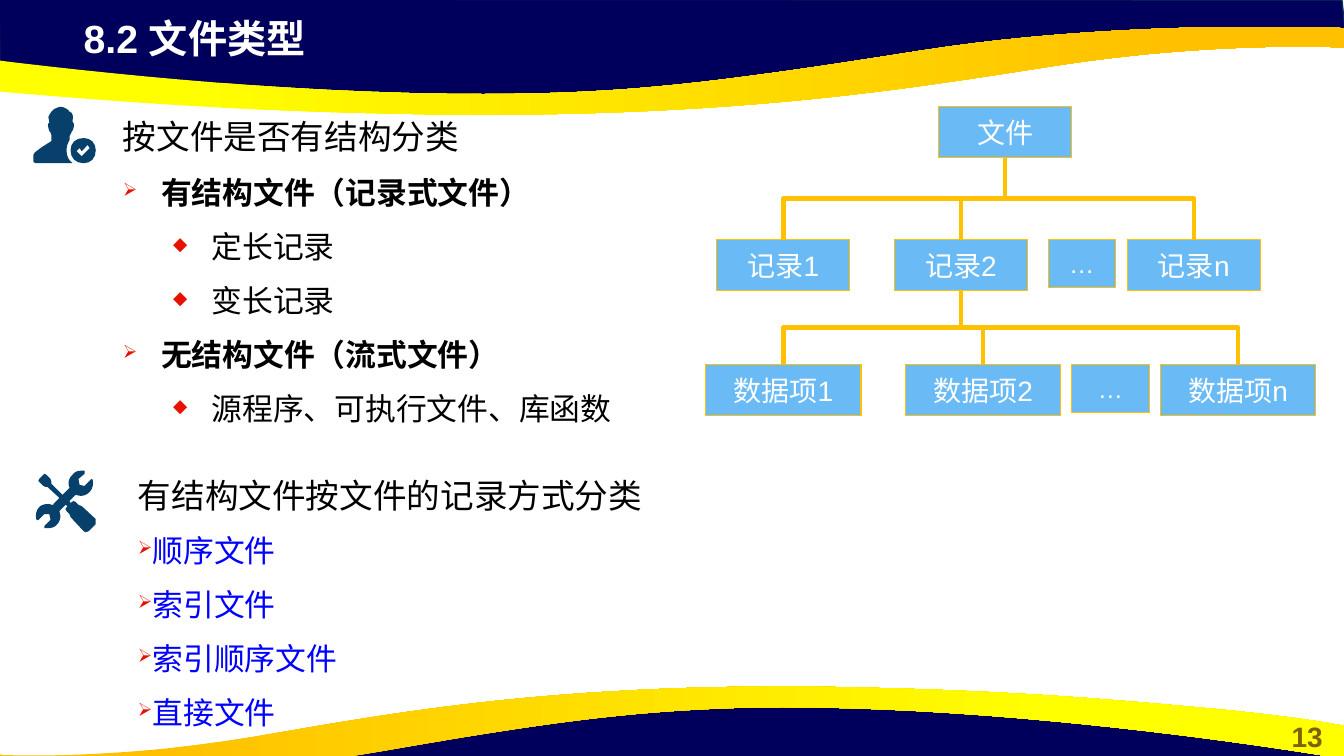
"""Build the slide on file types, with two outlines and a record tree."""
from lxml import etree
from pptx import Presentation
from pptx.dml.color import RGBColor
from pptx.enum.shapes import MSO_CONNECTOR as Connector, MSO_SHAPE as Shape
from pptx.enum.text import MSO_ANCHOR as Anchor, PP_ALIGN as Align
from pptx.oxml.ns import qn
from pptx.util import Inches, Pt

COLOURS = {
    name: RGBColor.from_string(value)
    for name, value in {
        "navy": "00005C", "navy edge": "05304F", "gold": "FFC000", "yellow": "FFFF00",
        "icon": "07416B", "box": "6ABBF5", "white": "FFFFFF", "black": "000000",
        "blue": "0000FF", "number": "806000",
    }.items()
}
BULLET_COLOUR = "E71101"

TOP_NAVY = "M-0.01,-0.01 L0,0.7 L2.93,1.02 L5.59,1 L7.95,0.88 L10.16,0.5 L12.38,0.33 L13.35,0.38 L13.31,0"
TOP_BAND = """M4.83,1.14 C4.43,1.14,4.01,1.13,3.56,1.12 C2.06,1.08,1.1,1,0.36,0.94
C-0.88,0.84,-1.3,0.75,-1.33,0.75 L-1.33,0.42 C-1.33,0.42,2.18,0.98,5.17,0.93
C6.26,0.91,7.08,0.83,9.15,0.5 C11.21,0.18,13.33,0.28,13.33,0.28 L13.33,0.47 L13.3,0.47
C13.05,0.46,11.95,0.43,10.55,0.64 C9.18,0.85,7.62,1.13,4.83,1.14"""
BOTTOM_NAVY = "M13.33,7.94 L13.32,7.24 L10.4,6.91 L7.73,6.93 L5.38,7.06 L3.17,7.43 L0.95,7.6 L-0.03,7.56 L0.01,7.93"
BOTTOM_BAND = """M7.72,6.81 C8.09,6.81,8.47,6.82,8.88,6.83 C10.25,6.87,11.12,6.95,11.79,7.01
C12.92,7.11,13.3,7.2,13.33,7.2 L13.33,7.53 C13.33,7.53,10.14,6.97,7.42,7.02
C6.42,7.05,5.67,7.12,3.8,7.45 C1.92,7.78,-0.01,7.68,-0.01,7.68 L-0.01,7.48 L0.02,7.49
C0.25,7.5,1.25,7.52,2.52,7.31 C3.76,7.1,5.19,6.82,7.72,6.81"""
BADGE = """M0.87,1.44 L0.81,1.5 L0.79,1.47 L0.76,1.5 L0.81,1.55 L0.89,1.47
M0.83,1.37 C0.9,1.37,0.95,1.42,0.95,1.49 C0.95,1.57,0.9,1.62,0.83,1.62
C0.75,1.62,0.7,1.57,0.7,1.49 C0.7,1.42,0.75,1.37,0.83,1.37"""
PERSON = """M0.6,1.06 C0.62,1.06,0.64,1.07,0.66,1.08 C0.68,1.09,0.69,1.11,0.69,1.11
C0.69,1.11,0.74,1.11,0.72,1.21 C0.73,1.22,0.74,1.23,0.73,1.27 C0.72,1.3,0.71,1.31,0.71,1.31
C0.71,1.32,0.7,1.33,0.69,1.35 L0.69,1.39 C0.67,1.42,0.66,1.46,0.66,1.49
C0.66,1.55,0.68,1.59,0.72,1.62 L0.36,1.62 C0.35,1.62,0.33,1.61,0.33,1.6 L0.33,1.55
C0.33,1.53,0.34,1.52,0.35,1.51 C0.42,1.45,0.5,1.41,0.51,1.4 L0.51,1.35
C0.51,1.33,0.5,1.32,0.5,1.31 C0.49,1.31,0.49,1.3,0.48,1.27 C0.47,1.23,0.48,1.22,0.49,1.22
L0.48,1.16 C0.49,1.14,0.5,1.12,0.51,1.11 C0.52,1.1,0.53,1.09,0.54,1.08
C0.55,1.08,0.58,1.06,0.6,1.06"""
TOOL_HEADS = """M0.95,5.15 L0.81,5.02 L0.78,5.01 L0.75,4.98 L0.73,4.97 L0.7,4.99 L0.69,4.97
L0.75,4.91 L0.8,4.92 C0.84,4.92,0.87,4.9,0.89,4.88 C0.92,4.85,0.93,4.8,0.92,4.76 L0.91,4.75
L0.9,4.76 L0.84,4.82 L0.83,4.82 L0.79,4.81 L0.78,4.76 L0.78,4.75 L0.84,4.7 L0.84,4.67 L0.8,4.67
C0.77,4.67,0.74,4.68,0.72,4.71 C0.68,4.74,0.67,4.8,0.69,4.84 L0.62,4.91 L0.51,4.8 L0.51,4.78
L0.5,4.75 L0.46,4.71 L0.44,4.7 L0.43,4.71 L0.39,4.75 L0.38,4.77 L0.39,4.78 L0.43,4.82"""
TOOL_HANDLES = """L0.45,4.83 L0.47,4.83 L0.59,4.94 L0.53,5 L0.53,5.01 L0.48,5
C0.44,5,0.41,5.01,0.39,5.03 C0.36,5.06,0.35,5.11,0.36,5.15 L0.37,5.16 L0.38,5.16 L0.44,5.1
L0.45,5.1 L0.49,5.1 L0.5,5.15 L0.5,5.16 L0.44,5.22 L0.44,5.24 L0.48,5.24
C0.51,5.24,0.54,5.23,0.56,5.21 C0.59,5.18,0.6,5.15,0.6,5.12 L0.59,5.07 L0.6,5.06 L0.65,5.01
L0.67,5.02 L0.65,5.05 L0.66,5.07 L0.69,5.1 L0.7,5.13 L0.83,5.27 L0.85,5.28 L0.88,5.27 L0.95,5.2"""

presentation = Presentation()
presentation.slide_width = Inches(13.33)
presentation.slide_height = Inches(7.5)
slide = presentation.slides.add_slide(presentation.slide_layouts[5])
shapes = slide.shapes


def add_outline(*parts):
    """Draw closed contours; cubic curves become short segments."""
    contours = []
    for command in [command for part in parts for command in part.split()]:
        numbers = [float(number) for number in command[1:].split(",")]
        points = list(zip(numbers[::2], numbers[1::2]))
        if command[0] == "M":
            contours.append(points)
        elif command[0] == "L":
            contours[-1] += points
        else:
            corners = [contours[-1][-1], *points]
            steps = 24 if abs(corners[3][0] - corners[0][0]) > 0.2 else 4
            for step in range(1, steps + 1):
                t = step / steps
                weights = ((1 - t) ** 3, 3 * t * (1 - t) ** 2, 3 * t * t * (1 - t), t ** 3)
                contours[-1].append(tuple(
                    sum(weight * corner[axis] for weight, corner in zip(weights, corners))
                    for axis in (0, 1)))
    contours = [[(Inches(x), Inches(y)) for x, y in contour] for contour in contours]
    builder = shapes.build_freeform(*contours[0][0])
    for index, contour in enumerate(contours):
        if index:
            builder.move_to(*contour[0])
        builder.add_line_segments(contour[1:], close=True)
    shape = builder.convert_to_shape()
    shape.shadow.inherit = False
    shape.line.fill.background()
    return shape


def add_run(paragraph, text, size, colour, bold=False):
    """Append one formatted run."""
    run = paragraph.add_run()
    run.text = text
    run.font.name = "Arial"
    run.font.size = Pt(size)
    run.font.bold = bold
    run.font.color.rgb = COLOURS[colour]


for navy_outline, band_outline, stops in (
    (TOP_NAVY, TOP_BAND, ((0.22, "yellow"), (0.89, "gold"))),
    (BOTTOM_NAVY, BOTTOM_BAND, ((0.11, "gold"), (0.78, "yellow"))),
):
    navy = add_outline(navy_outline)
    navy.fill.solid()
    navy.fill.fore_color.rgb = COLOURS["navy"]
    navy.line.color.rgb = COLOURS["navy edge"]
    navy.line.width = Pt(1)
    band = add_outline(band_outline)
    band.fill.gradient()
    band.fill.gradient_angle = 0
    for stop, (position, colour) in zip(band.fill.gradient_stops, stops):
        stop.position = position
        stop.color.rgb = COLOURS[colour]

for icon_parts in ((BADGE, PERSON), (TOOL_HEADS, TOOL_HANDLES)):
    icon = add_outline(*icon_parts)
    icon.fill.solid()
    icon.fill.fore_color.rgb = COLOURS["icon"]

title = shapes.title
title.left, title.top, title.width, title.height = map(Inches, (0.73, 0.09, 7.68, 0.57))
title.text_frame.vertical_anchor = Anchor.TOP
title.text_frame.paragraphs[0].alignment = Align.LEFT
add_run(title.text_frame.paragraphs[0], "8.2 文件类型", 28, "white", True)
title.element.getparent().append(title.element)

page_number = shapes.add_textbox(*map(Inches, (12.6, 7.09, 0.73, 0.44)))
page_number.text_frame.word_wrap = True
page_number.text_frame.paragraphs[0].alignment = Align.CENTER
add_run(page_number.text_frame.paragraphs[0], "13", 20, "number", True)

OUTLINES = (
    ((1.12, 1.15, 7.84, 3.37), 0.9, "black", (0, 0.38, 0.88), (
        (0, "按文件是否有结构分类"), (1, "有结构文件（记录式文件）"), (2, "定长记录"),
        (2, "变长记录"), (1, "无结构文件（流式文件）"), (2, "源程序、可执行文件、库函数"))),
    ((1.27, 4.53, 5.23, 2.88), 1.32, "blue", (0, 0), (
        (0, "有结构文件按文件的记录方式分类"), (1, "顺序文件"), (1, "索引文件"),
        (1, "索引顺序文件"), (1, "直接文件"))),
)
for place, heading_spacing, item_colour, margins, entries in OUTLINES:
    frame = shapes.add_textbox(*map(Inches, place)).text_frame
    frame.word_wrap = True
    for index, (level, text) in enumerate(entries):
        paragraph = frame.add_paragraph() if index else frame.paragraphs[0]
        paragraph.level = level
        paragraph.line_spacing = 1.32 if level else heading_spacing
        if level:
            paragraph.space_before = Pt(3.7)
            properties = paragraph._p.get_or_add_pPr()
            properties.set("marL", str(Inches(margins[level])))
            properties.set("indent", str(Inches(-0.38)))
            bullet_colour = etree.SubElement(properties, qn("a:buClr"))
            etree.SubElement(bullet_colour, qn("a:srgbClr"), val=BULLET_COLOUR)
            etree.SubElement(properties, qn("a:buSzPct"), val="60000")
            etree.SubElement(properties, qn("a:buChar"), char=" ➢◆"[level])
        add_run(paragraph, text, 22 if level else 24, item_colour if level else "black",
                level == 1 and item_colour == "black")

TREE = (
    (1.06, 1.32, ((9.31, "文件"),)),
    (2.38, 1.32, ((7.11, "记录1"), (8.87, "记录2"), (11.18, "记录n"))),
    (3.62, 1.54, ((7, "数据项1"), (8.98, "数据项2"), (11.51, "数据项n"))),
)
nodes = [(left, top, width, 0.5, text) for top, width, row in TREE for left, text in row]
nodes += [(10.4, 2.38, 0.66, 0.47, "…"), (10.63, 3.62, 0.77, 0.47, "…")]
boxes = []
for *place, text in nodes:
    box = shapes.add_shape(Shape.RECTANGLE, *map(Inches, place))
    box.shadow.inherit = False
    box.fill.solid()
    box.fill.fore_color.rgb = COLOURS["box"]
    box.line.color.rgb = COLOURS["gold"]
    box.line.width = Pt(0.75)
    box.text_frame.word_wrap = text == "…"
    box.text_frame.vertical_anchor = Anchor.MIDDLE
    box.text_frame.paragraphs[0].alignment = Align.CENTER
    add_run(box.text_frame.paragraphs[0], text, 18 if text == "…" else 20, "white")
    boxes.append(box)

for parent, children in ((boxes[0], boxes[1:4]), (boxes[2], boxes[4:7])):
    for child in children:
        start_x, start_y = parent.left + parent.width // 2, parent.top + parent.height
        end_x, end_y = child.left + child.width // 2, child.top
        branch = shapes.add_connector(Connector.ELBOW, start_x, start_y, end_x, end_y)
        branch.begin_connect(parent, 2)
        branch.end_connect(child, 0)
        drop, shift = end_y - start_y, abs(end_x - start_x)
        branch.left, branch.top = (start_x + end_x - drop) // 2, (start_y + end_y - shift) // 2
        branch.width, branch.height = drop, shift
        transform = branch.element.spPr.find(qn("a:xfrm"))
        transform.set("rot", str((270 if end_x > start_x else 90) * 60000))
        transform.set("flipH", str(int(end_x > start_x)))
        transform.set("flipV", "0")
        branch.line.color.rgb = COLOURS["gold"]
        branch.line.width = Pt(3)
        etree.SubElement(branch.element.spPr, qn("a:effectLst"))

presentation.save("out.pptx")
